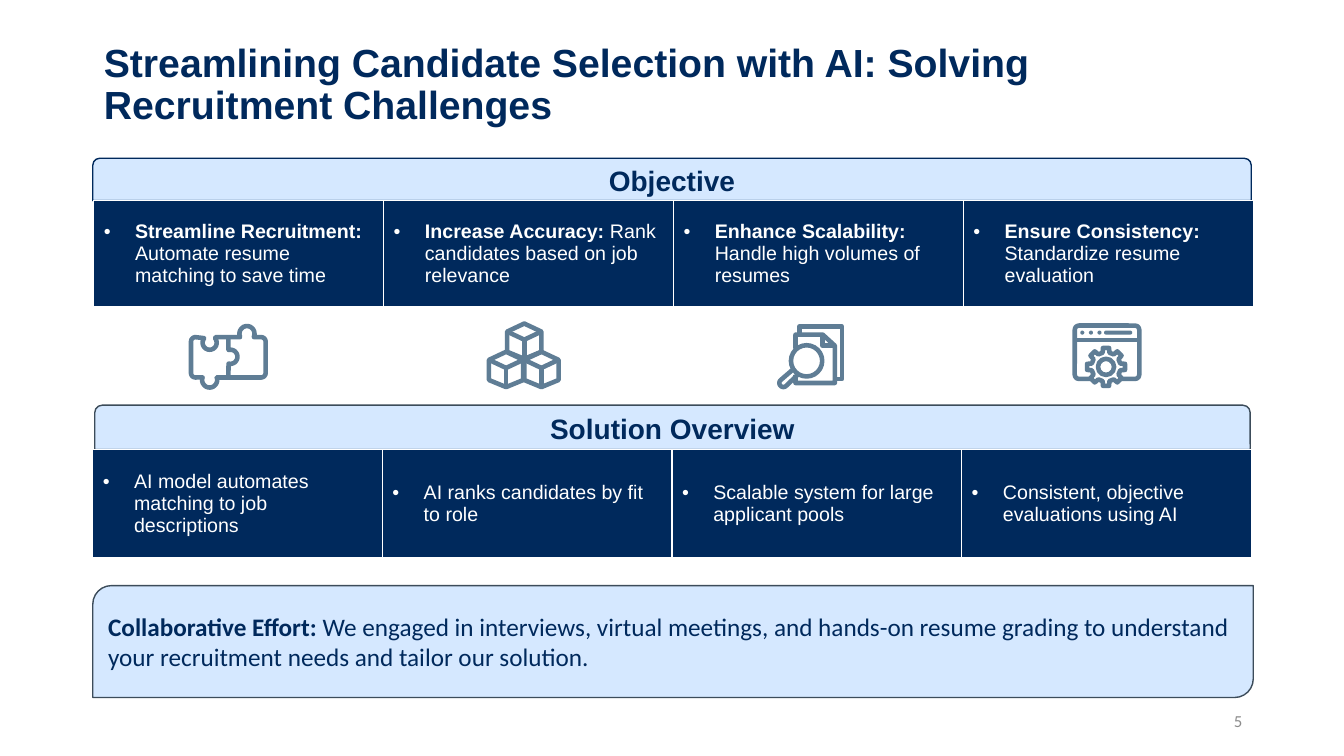
from math import cos, pi, radians, sin

from lxml import etree
from pptx import Presentation
from pptx.dml.color import RGBColor
from pptx.enum import shapes, text
from pptx.oxml.ns import qn
from pptx.util import Inches, Pt

NAVY, PALE, SLATE, STEEL = "00295C", "D5E8FF", "3C4C5A", "5F7D95"
WHITE, GREY = "FFFFFF", "8C8C8C"
SHAPE = shapes.MSO_SHAPE
ALIGN = text.PP_ALIGN
MIDDLE = text.MSO_ANCHOR.MIDDLE


def rgb(value):
    return RGBColor.from_string(value)


def arc(x, y, radius, start, end, steps=16):
    """Points on a circle, in degrees clockwise from the right."""
    angles = [radians(start + (end - start) * i / steps) for i in range(steps + 1)]
    return [(x + radius * cos(a), y + radius * sin(a)) for a in angles]


def gear(x, y, outer, root, teeth):
    points = []
    for tooth in range(teeth):
        for offset, radius in ((-0.3, root), (-0.2, outer), (0.2, outer), (0.3, root)):
            angle = 2 * pi * (tooth + offset) / teeth
            points.append((x + radius * cos(angle), y + radius * sin(angle)))
    return points


class SlideBuilder:
    def __init__(self, slide):
        self.slide = slide
        self.icon_line = 3.25

    def add_runs(self, frame, runs, size, color, font="Arial", align=ALIGN.LEFT, bullet=False):
        """Fill the first paragraph with (text, bold) runs."""
        paragraph = frame.paragraphs[0]
        paragraph.alignment = align
        if bullet:
            properties = paragraph._p.get_or_add_pPr()
            properties.set("marL", str(Inches(0.31)))
            properties.set("indent", str(-Inches(0.31)))
            etree.SubElement(properties, qn("a:buFont")).set("typeface", "Arial")
            etree.SubElement(properties, qn("a:buChar")).set("char", "•")
        for words, bold in runs:
            run = paragraph.add_run()
            run.text = words
            run.font.name, run.font.size, run.font.bold = font, Pt(size), bold
            run.font.color.rgb = rgb(color)
        return paragraph

    def paint(self, shape, fill, line, width):
        shape.shadow.inherit = False
        if fill:
            shape.fill.solid()
            shape.fill.fore_color.rgb = rgb(fill)
        else:
            shape.fill.background()
        if line:
            shape.line.color.rgb = rgb(line)
            shape.line.width = Pt(width)
        else:
            shape.line.fill.background()

    def title(self, words, box):
        title = self.slide.shapes.title
        title.left, title.top, title.width, title.height = map(Inches, box)
        frame = title.text_frame
        frame.word_wrap = True
        frame.auto_size = text.MSO_AUTO_SIZE.NONE
        frame.vertical_anchor = text.MSO_ANCHOR.TOP
        self.add_runs(frame, [(words, True)], 28, NAVY).line_spacing = 0.9

    def shape(self, kind, box, fill, line=None, width=1):
        shape = self.slide.shapes.add_shape(kind, *map(Inches, box))
        self.paint(shape, fill, line, width)
        return shape

    def panel(self, kind, box, line, runs, size, **style):
        frame = self.shape(kind, box, PALE, line).text_frame
        frame.word_wrap = True
        frame.vertical_anchor = MIDDLE
        self.add_runs(frame, runs, size, NAVY, **style)

    def bullet_row(self, box, entries):
        table = self.slide.shapes.add_table(1, len(entries), *map(Inches, box)).table
        table.horz_banding = False
        for cell, runs in zip(table.rows[0].cells, entries):
            cell.fill.solid()
            cell.fill.fore_color.rgb = rgb(NAVY)
            cell.vertical_anchor = MIDDLE
            self.add_runs(cell.text_frame, runs, 14, WHITE, bullet=True)

    def outline(self, *strokes, closed=False, fill=None):
        """Draw one icon part from lists of points in inches."""
        strokes = [[(x * 1000, y * 1000) for x, y in points] for points in strokes]
        builder = self.slide.shapes.build_freeform(*strokes[0][0], scale=914.4)
        for index, points in enumerate(strokes):
            if index:
                builder.move_to(*points[0])
            builder.add_line_segments(points[1:], close=closed)
        self.paint(builder.convert_to_shape(), fill, STEEL, self.icon_line)

    def circle(self, x, y, radius, fill=None, line=STEEL):
        box = (x - radius, y - radius, 2 * radius, 2 * radius)
        self.shape(SHAPE.OVAL, box, fill, line, self.icon_line)

    def page_number(self, number, box):
        frame = self.slide.shapes.add_textbox(*map(Inches, box)).text_frame
        frame.word_wrap = True
        frame.vertical_anchor = MIDDLE
        self.add_runs(frame, [(number, False)], 12, GREY, "Calibri", ALIGN.RIGHT)


def draw_puzzle(builder):
    border = [
        *arc(1.94, 3.39, 0.045, 180, 270), *arc(2.08, 3.4, 0.07, 220, -40),
        (2.14, 3.345), (2.38, 3.345), *arc(2.45, 3.31, 0.075, 160, 380),
        (2.52, 3.345), *arc(2.59, 3.39, 0.045, 270, 360),
        *arc(2.59, 3.7, 0.045, 0, 90), (2.15, 3.745),
        *arc(2.08, 3.77, 0.075, -20, 200), *arc(1.94, 3.7, 0.045, 90, 180),
    ]
    seam = [(2.265, 3.345), (2.265, 3.46), *arc(2.285, 3.54, 0.07, -105, 105), (2.265, 3.745)]
    builder.outline(border, closed=True)
    builder.outline(seam)


def draw_cubes(builder):
    side, upper, lower, center = 0.17, -0.09, 0.11, -0.01
    edges = [
        [(0, -0.17), (side, upper), (side, lower), (0, 0.18), (-side, lower),
         (-side, upper), (0, -0.17)],
        [(-side, upper), (0, center), (side, upper)],
        [(0, center), (0, 0.18)],
    ]
    for x, y in ((5.2, 3.38), (5.02, 3.66), (5.37, 3.66)):
        builder.outline(*[[(x + dx, y + dy) for dx, dy in edge] for edge in edges])


def draw_search(builder):
    back_page = [(7.93, 3.31), (7.93, 3.24), (8.35, 3.24), (8.35, 3.76), (8.29, 3.76)]
    front_page = [(7.89, 3.46), (7.89, 3.32), (8.16, 3.32), (8.28, 3.43), (8.28, 3.8),
                  (7.89, 3.8), (7.89, 3.72)]
    fold = [(8.16, 3.32), (8.16, 3.43), (8.28, 3.43)]
    handle = [(7.86, 3.67), *arc(7.77, 3.8, 0.04, 225, 45), (7.91, 3.72)]
    builder.outline(back_page, front_page, fold, handle)
    builder.circle(8, 3.58, 0.155)


def draw_browser(builder):
    window = builder.shape(SHAPE.ROUNDED_RECTANGLE, (10.66, 3.23, 0.64, 0.53), None, STEEL,
                           builder.icon_line)
    window.adjustments[0] = 0.08
    builder.outline([(10.66, 3.375), (11.3, 3.375)])
    for dot in range(3):
        builder.circle(10.735 + 0.085 * dot, 3.3, 0.02, STEEL, None)
    bar = builder.shape(SHAPE.ROUNDED_RECTANGLE, (10.95, 3.28, 0.28, 0.04), STEEL)
    bar.adjustments[0] = 0.5
    builder.outline(gear(10.97, 3.64, 0.19, 0.145, 8), closed=True, fill=WHITE)
    builder.circle(10.97, 3.64, 0.08)


def main():
    presentation = Presentation()
    presentation.slide_width, presentation.slide_height = Inches(13.33), Inches(7.5)
    builder = SlideBuilder(presentation.slides.add_slide(presentation.slide_layouts[5]))

    builder.title("Streamlining Candidate Selection with AI: Solving Recruitment Challenges",
                  (0.93, 0.38, 9.71, 0.59))

    objectives = [
        ("Streamline Recruitment:", " Automate resume matching to save time"),
        ("Increase Accuracy:", " Rank candidates based on job relevance"),
        ("Enhance Scalability:", " Handle high volumes of resumes"),
        ("Ensure Consistency:", " Standardize resume evaluation"),
    ]
    solutions = [
        "AI model automates matching to job descriptions",
        "AI ranks candidates by fit to role",
        "Scalable system for large applicant pools",
        "Consistent, objective evaluations using AI",
    ]
    sections = [
        ("Objective", (0.92, 1.57, 11.49, 0.42), NAVY, (0.93, 1.99, 11.5, 1.05),
         [[(goal, True), (detail, False)] for goal, detail in objectives]),
        ("Solution Overview", (0.94, 4.02, 11.46, 0.44), SLATE, (0.92, 4.46, 11.49, 1.07),
         [[(solution, False)] for solution in solutions]),
    ]
    for heading, heading_box, line, row_box, entries in sections:
        builder.panel(SHAPE.ROUND_2_SAME_RECTANGLE, heading_box, line, [(heading, True)], 20,
                      align=ALIGN.CENTER)
        builder.bullet_row(row_box, entries)

    for draw_icon in (draw_puzzle, draw_cubes, draw_search, draw_browser):
        draw_icon(builder)

    effort = [
        ("Collaborative Effort:", True),
        (" We engaged in interviews, virtual meetings, and hands-on resume grading to "
         "understand your recruitment needs and tailor our solution.", False),
    ]
    builder.panel(SHAPE.ROUND_2_DIAG_RECTANGLE, (0.92, 5.81, 11.51, 1.11), SLATE, effort, 18,
                  font="Calibri")
    builder.page_number("5", (9.42, 6.95, 3, 0.4))
    presentation.save("out.pptx")


if __name__ == "__main__":
    main()
